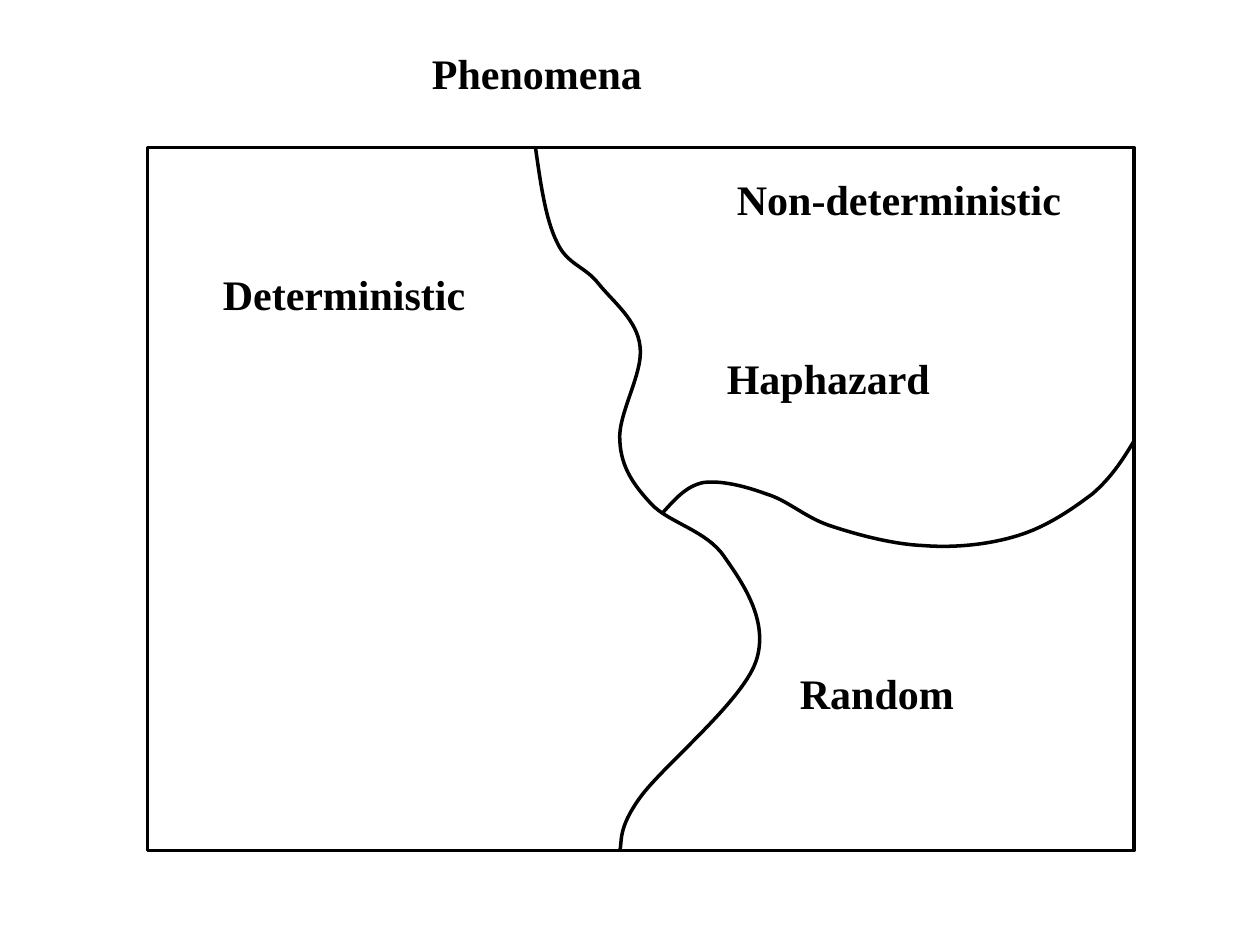
from lxml import etree
from pptx import Presentation
from pptx.dml.color import RGBColor
from pptx.enum.shapes import MSO_SHAPE
from pptx.enum.text import MSO_AUTO_SIZE
from pptx.oxml.ns import qn
from pptx.util import Inches, Pt

RECT = MSO_SHAPE.RECTANGLE
GROW = MSO_AUTO_SIZE.SHAPE_TO_FIT_TEXT
INK = "000000"

FRAME = (1.17, 1.17, 7.83, 5.58)
LABEL_H = 0.5
LABELS = [  # text, left, top, width
    ("Phenomena", 3.33, 0.33, 2.42),
    ("Deterministic", 1.67, 2.08, 2.42),
    ("Non-deterministic", 5.75, 1.33, 2.83),
    ("Haphazard", 5.67, 2.75, 2.83),
    ("Random", 6.25, 5.25, 2.83),
]
FONT = {"name": "Times New Roman", "size": Pt(24), "bold": True}

# Each border: its start, then two control points and an end per curve
DETERMINISTIC_BORDER = [
    (4.25, 1.17),
    (4.29, 1.45), (4.33, 1.74), (4.42, 1.92),
    (4.5, 2.1), (4.64, 2.11), (4.75, 2.25),
    (4.86, 2.39), (5.06, 2.54), (5.08, 2.75),
    (5.11, 2.96), (4.9, 3.29), (4.92, 3.5),
    (4.93, 3.71), (5.03, 3.85), (5.17, 4),
    (5.31, 4.15), (5.61, 4.21), (5.75, 4.42),
    (5.89, 4.62), (6.11, 4.93), (6, 5.25),
    (5.89, 5.57), (5.26, 6.08), (5.08, 6.33),
    (4.9, 6.58), (4.94, 6.68), (4.92, 6.75),
]
RANDOM_BORDER = [
    (5.25, 4.08),
    (5.35, 3.97), (5.44, 3.86), (5.58, 3.83),
    (5.72, 3.81), (5.92, 3.86), (6.08, 3.92),
    (6.25, 3.97), (6.38, 4.1), (6.58, 4.17),
    (6.79, 4.24), (7.08, 4.32), (7.33, 4.33),
    (7.58, 4.35), (7.86, 4.32), (8.08, 4.25),
    (8.31, 4.18), (8.51, 4.04), (8.67, 3.92),
    (8.82, 3.79), (8.91, 3.65), (9, 3.5),
]


def rgb(color):
    return RGBColor.from_string(color)


def outline(sp):
    sp.shadow.inherit = False
    sp.fill.background()
    sp.line.color.rgb = rgb(INK)
    sp.line.width = Pt(2)


def add_curve(shapes, points):
    """Draw a freeform, turning every three line segments into one Bézier."""
    start, *rest = [(Inches(x), Inches(y)) for x, y in points]
    builder = shapes.build_freeform(*start)
    builder.add_line_segments(rest, close=False)
    sp = builder.convert_to_shape()
    path = next(sp.element.iter(qn("a:path")))
    lines = path.findall(qn("a:lnTo"))
    for i in range(0, len(lines), 3):
        curve = etree.SubElement(path, qn("a:cubicBezTo"))
        for line in lines[i:i + 3]:
            curve.append(line[0])
            path.remove(line)
    outline(sp)


def add_label(shapes, text, left, top, width):
    box = shapes.add_textbox(*map(Inches, (left, top, width, LABEL_H)))
    tf = box.text_frame
    tf.word_wrap = True
    tf.auto_size = GROW
    r = tf.paragraphs[0].add_run()
    r.text = text
    for name, value in FONT.items():
        setattr(r.font, name, value)
    r.font.color.rgb = rgb(INK)


def main():
    prs = Presentation()
    prs.slide_width, prs.slide_height = Inches(10), Inches(7.5)
    shapes = prs.slides.add_slide(prs.slide_layouts[6]).shapes
    outline(shapes.add_shape(RECT, *map(Inches, FRAME)))
    for border in (DETERMINISTIC_BORDER, RANDOM_BORDER):
        add_curve(shapes, border)
    for label in LABELS:
        add_label(shapes, *label)
    prs.save("out.pptx")


if __name__ == "__main__":
    main()
